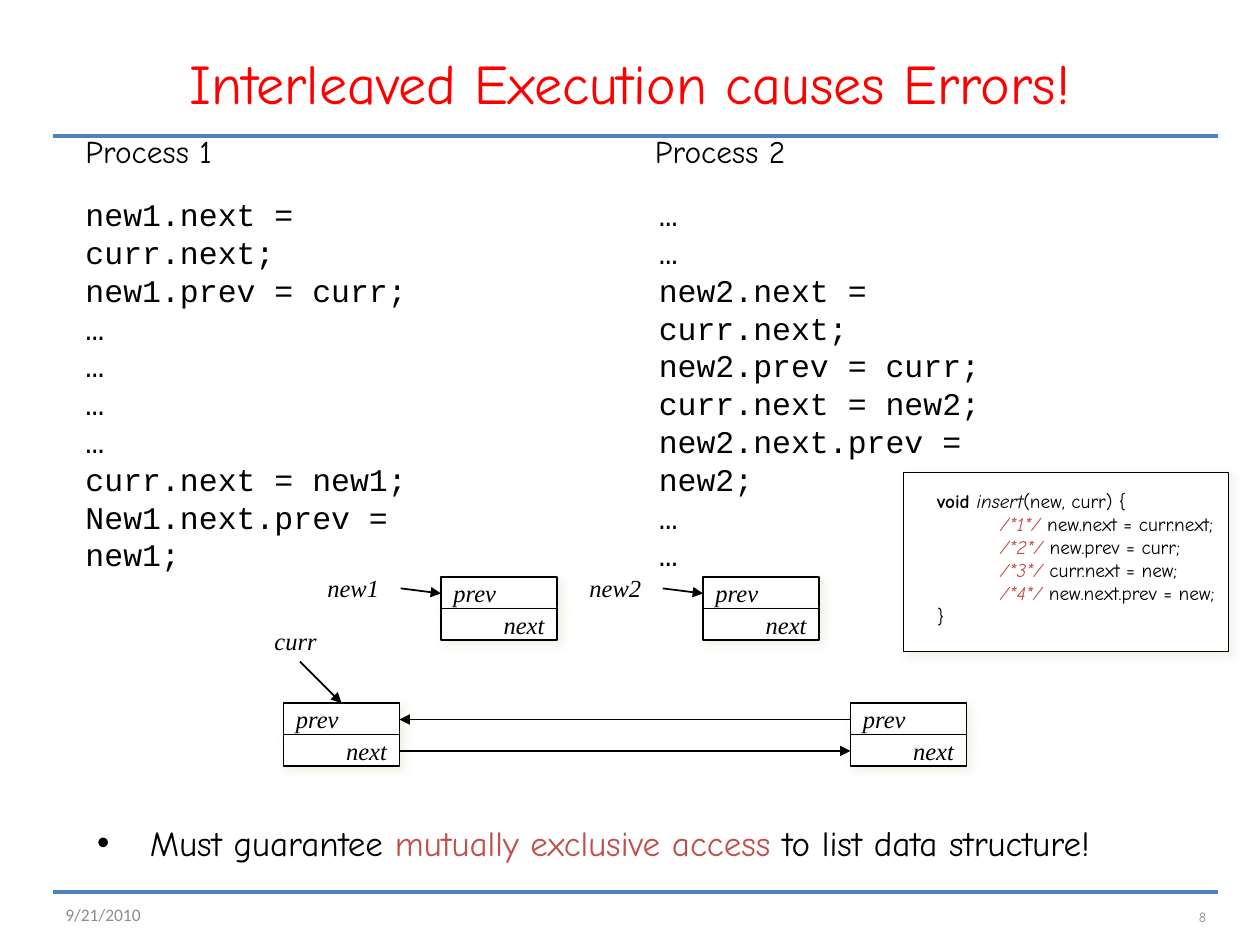
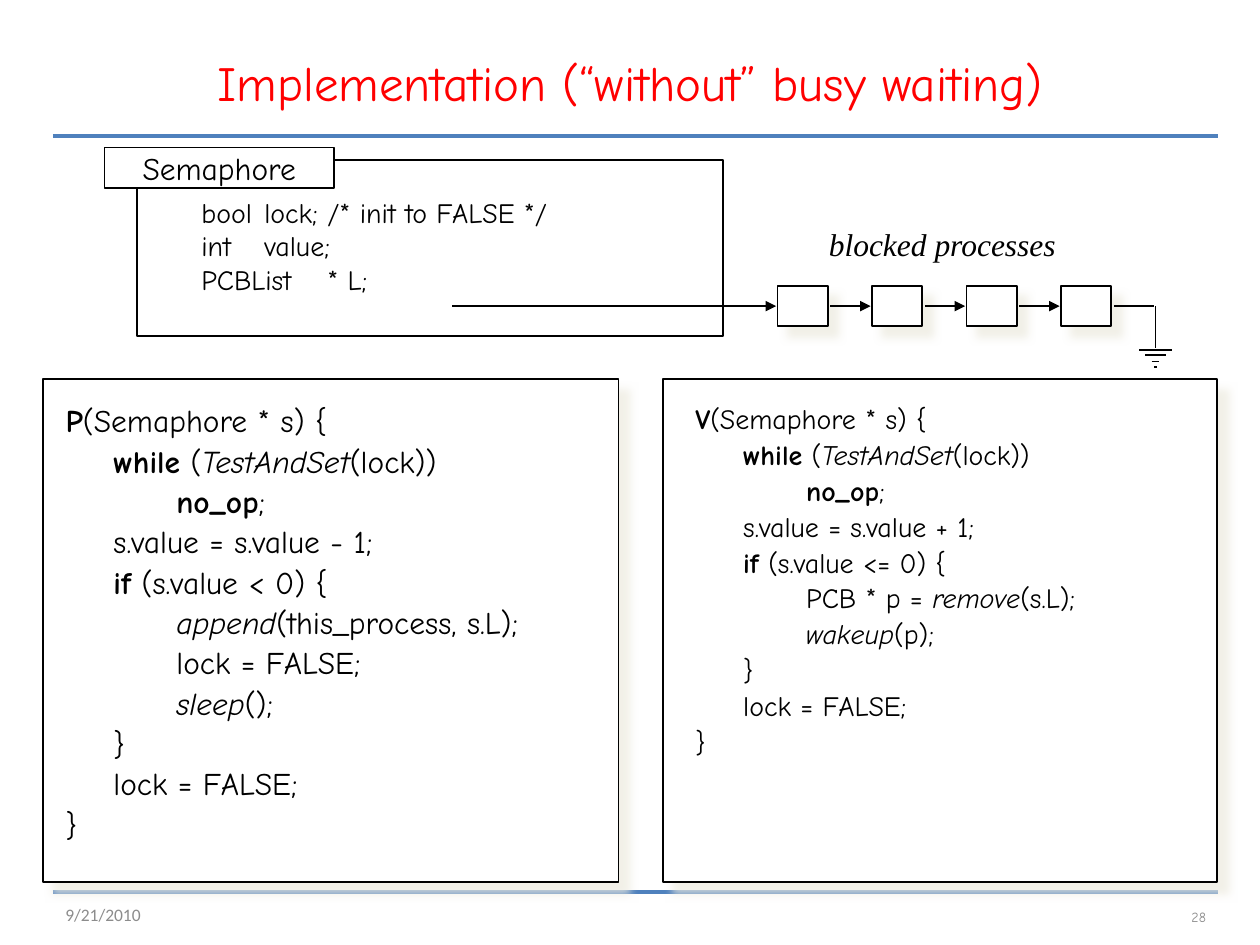
from dataclasses import dataclass
from typing import NamedTuple, Optional, Sequence, Union

from pptx import Presentation
from pptx.dml.color import RGBColor
from pptx.enum.shapes import MSO_CONNECTOR, MSO_SHAPE
from pptx.enum.text import MSO_ANCHOR, MSO_AUTO_SIZE, PP_ALIGN
from pptx.oxml.ns import qn
from pptx.util import Inches, Pt
from lxml.etree import SubElement


# ---- Theme and building parts ----
@dataclass(frozen=True)
class Theme:
    ink: str = "000000"
    paper: str = "FFFFFF"
    title: str = "FF0000"
    rule: str = "4F81BD"
    accent: str = "C0504D"
    muted: str = "8C8C8C"
    shadow: str = "EEECE1"
    hand: str = "Comic Neue"
    mono: str = "Courier New"
    serif: str = "Times New Roman"
    sans: str = "Calibri"
    large: int = 20
    normal: int = 18
    medium: int = 16
    label: int = 14
    small: int = 11
    date: int = 10
    number: int = 8


THEME = Theme()


class Span(NamedTuple):
    text: str
    bold: bool = False
    italic: bool = False
    color: Optional[str] = None


Line = Sequence[Union[str, Span]]


class Area(NamedTuple):
    left: float
    top: float
    width: float
    height: float


@dataclass(frozen=True)
class Style:
    font: str = THEME.hand
    size: int = THEME.normal
    color: str = THEME.ink
    italic: bool = False
    align: PP_ALIGN = PP_ALIGN.LEFT
    anchor: MSO_ANCHOR = MSO_ANCHOR.TOP
    line_spacing: float = 1.0
    space_before: float = 0
    margin: float = 0
    hanging: float = 0
    bullet: Optional[str] = None


@dataclass(frozen=True)
class Node:
    """A list element with a prev cell above a next cell."""
    left: float
    top: float
    width: float = 0.92
    cell: float = 0.25


def bold(text: str) -> Span:
    return Span(text, bold=True)


def italic(text: str) -> Span:
    return Span(text, italic=True)


def accent(text: str, slanted: bool = False) -> Span:
    return Span(text, italic=slanted, color=THEME.accent)


def code_style(size: int) -> Style:
    return Style(size=size, line_spacing=0.9, space_before=size * 0.2,
                 margin=0.38, hanging=0.38)


HEADING = Style(size=32, color=THEME.title, align=PP_ALIGN.CENTER,
                anchor=MSO_ANCHOR.MIDDLE)
SUBHEADING = Style(size=28, color=THEME.title, align=PP_ALIGN.CENTER,
                   anchor=MSO_ANCHOR.MIDDLE)
LISTING = Style(font=THEME.mono)
LABEL = Style(font=THEME.serif, size=THEME.label, italic=True)
PREV = Style(font=THEME.serif, size=THEME.label, italic=True,
             anchor=MSO_ANCHOR.MIDDLE)
NEXT = Style(font=THEME.serif, size=THEME.label, italic=True,
             align=PP_ALIGN.RIGHT, anchor=MSO_ANCHOR.MIDDLE)


# ---- Drawing functions ----
def place(shape, area: Area) -> None:
    shape.left, shape.top, shape.width, shape.height = map(Inches, area)


def format_para(para, style: Style, stops: Sequence[float] = ()) -> None:
    para.alignment = style.align
    para.line_spacing = style.line_spacing
    para.space_before = Pt(style.space_before)
    props = para._p.get_or_add_pPr()
    props.set("marL", str(Inches(style.margin)))
    props.set("indent", str(-Inches(style.hanging)))
    if style.bullet:
        SubElement(props, qn("a:buChar")).set("char", style.bullet)
    else:
        SubElement(props, qn("a:buNone"))
    if stops:
        tabs = SubElement(props, qn("a:tabLst"))
        for stop in stops:
            tab = SubElement(tabs, qn("a:tab"))
            tab.set("pos", str(Inches(stop)))
            tab.set("algn", "l")
    para.font.name = style.font
    para.font.size = Pt(style.size)


def write(shape, lines: Sequence[Line], style: Style,
          stops: Sequence[Sequence[float]] = ()) -> None:
    frame = shape.text_frame
    frame.word_wrap = True
    frame.auto_size = MSO_AUTO_SIZE.NONE
    frame.vertical_anchor = style.anchor
    for index, line in enumerate(lines):
        para = frame.paragraphs[0] if index == 0 else frame.add_paragraph()
        format_para(para, style, stops[index] if stops else ())
        for part in line:
            span = Span(part) if isinstance(part, str) else part
            run = para.add_run()
            run.text = span.text
            run.font.bold = span.bold
            run.font.italic = span.italic or style.italic
            run.font.color.rgb = RGBColor.from_string(span.color or style.color)


def add_text(page, area: Area, lines: Sequence[Line], style: Style,
             stops: Sequence[Sequence[float]] = ()) -> None:
    box = page.shapes.add_textbox(*map(Inches, area))
    write(box, lines, style, stops)


def add_box(page, area: Area, shadow: float = 0):
    """Outlined white box; shadow is its distance in points."""
    box = page.shapes.add_shape(MSO_SHAPE.RECTANGLE, *map(Inches, area))
    box.fill.solid()
    box.fill.fore_color.rgb = RGBColor.from_string(THEME.paper)
    box.line.color.rgb = RGBColor.from_string(THEME.ink)
    box.line.width = Pt(1)
    box.shadow.inherit = False
    if shadow:
        effects = box.element.spPr.find(qn("a:effectLst"))
        outer = SubElement(effects, qn("a:outerShdw"), blurRad=str(Pt(5)),
                           dist=str(Pt(shadow)), dir=str(45 * 60000))
        color = SubElement(outer, qn("a:srgbClr"), val=THEME.shadow)
        SubElement(color, qn("a:alpha"), val="75000")
    return box


def add_line(page, x1: float, y1: float, x2: float, y2: float,
             arrow: bool = False, color: str = THEME.ink, width: float = 1) -> None:
    line = page.shapes.add_connector(MSO_CONNECTOR.STRAIGHT,
                                     *map(Inches, (x1, y1, x2, y2)))
    line.line.color.rgb = RGBColor.from_string(color)
    line.line.width = Pt(width)
    props = line.element.spPr
    if arrow:
        SubElement(props.find(qn("a:ln")), qn("a:tailEnd"), type="triangle")
    SubElement(props, qn("a:effectLst"))


def add_node(page, node: Node) -> None:
    for row, (name, style) in enumerate((("prev", PREV), ("next", NEXT))):
        area = Area(node.left, node.top + row * node.cell, node.width, node.cell)
        write(add_box(page, area, shadow=3), [[name]], style)


def bring_to_front(shape) -> None:
    shape.element.getparent().append(shape.element)


def add_page(deck, title: str, style: Style, number: str):
    """Slide with title, two rules, date and number."""
    page = deck.slides.add_slide(deck.slide_layouts[1])
    place(page.shapes.title, Area(0.5, 0.3, 9, 0.7))
    write(page.shapes.title, [[title]], style)
    for y in (1.08, 7.08):
        add_line(page, 0.42, y, 9.67, y, color=THEME.rule, width=2)
    add_text(page, Area(0.42, 7.1, 1.5, 0.32), [["9/21/2010"]],
             Style(font=THEME.sans, size=THEME.date, color=THEME.muted,
                   anchor=MSO_ANCHOR.MIDDLE))
    add_text(page, Area(8.75, 7.08, 0.92, 0.4), [[number]],
             Style(size=THEME.number, color=THEME.muted, align=PP_ALIGN.RIGHT,
                   anchor=MSO_ANCHOR.MIDDLE))
    return page


# ---- Slide: interleaved execution ----
def build_interleaving(deck) -> None:
    page = add_page(deck, "Interleaved Execution causes Errors!", HEADING, "8")

    # Code of both processes
    pause = "…"
    first = ["new1.next = curr.next;", "new1.prev = curr;", *[pause] * 4,
             "curr.next = new1;", "New1.next.prev = new1;"]
    second = [pause, pause, "new2.next = curr.next;", "new2.prev = curr;",
              "curr.next = new2;", "new2.next.prev = new2;", pause, pause]
    for name, left, code_left, code in (("Process 1", 0.58, 0.58, first),
                                        ("Process 2", 5.1, 5.13, second)):
        add_text(page, Area(left, 1, 1.4, 0.4), [[name]], Style())
        add_text(page, Area(code_left, 1.5, 3.45, 3.1),
                 [[line] for line in code], LISTING)

    # New nodes with their pointers
    for name, left in (("new1", 3.5), ("new2", 5.58)):
        add_node(page, Node(left, 4.58))
        add_text(page, Area(left - 1, 4.5, 0.7, 0.33), [[name]], LABEL)
        add_line(page, left - 0.32, 4.67, left, 4.71, arrow=True)

    # Existing list
    head, tail = Node(2.25, 5.58), Node(6.75, 5.58)
    for node in (head, tail):
        add_node(page, node)
    right = head.left + head.width
    add_line(page, right, 5.96, tail.left, 5.96, arrow=True)
    add_line(page, tail.left, 5.71, right, 5.71, arrow=True)
    add_text(page, Area(2.08, 4.92, 0.7, 0.33), [["curr"]], LABEL)
    add_line(page, 2.38, 5.25, 2.71, 5.58, arrow=True)

    # Conclusion
    body = page.placeholders[1]
    place(body, Area(0.67, 6.47, 8.9, 0.43))
    write(body, [["Must guarantee ", accent("mutually exclusive access"),
                  " to list data structure!"]],
          Style(size=THEME.large, margin=0.42, hanging=0.42, bullet="•"))

    # Insert function: the steps are indented below its first line
    add_box(page, Area(7.17, 3.75, 2.58, 1.42), shadow=3)
    steps = ["new.next = curr.next;", "new.prev = curr;", "curr.next = new;",
             "new.next.prev = new;"]
    add_text(page, Area(7.34, 3.83, 2.4, 1.21),
             [[bold("void "), italic("insert"), "(new, curr) {"],
              *[["\t", accent(f"/*{count}*/ ", slanted=True), step]
                for count, step in enumerate(steps, 1)],
              ["}"]],
             Style(size=THEME.small), stops=[[0.1]] * 6)


# ---- Slide: semaphore implementation ----
def build_semaphore(deck) -> None:
    page = add_page(deck, "Implementation (“without” busy waiting)", SUBHEADING, "28")

    # Semaphore fields
    add_box(page, Area(1.09, 1.27, 4.65, 1.4))
    write(add_box(page, Area(0.83, 1.17, 1.82, 0.32)), [["Semaphore"]],
          Style(align=PP_ALIGN.CENTER, anchor=MSO_ANCHOR.MIDDLE))
    add_text(page, Area(1.5, 1.5, 4.1, 0.91),
             [["bool\tlock;\t/* init to FALSE */"], ["int\tvalue;"], ["PCBList\t* L;"]],
             Style(size=THEME.medium), stops=[[0.99, 1.71], [0.97], [0.87]])

    # Queue of blocked processes, ending in a ground symbol
    add_text(page, Area(6.48, 1.74, 2.2, 0.4), [["blocked processes"]],
             Style(font=THEME.serif, italic=True))
    pitch, count, axis = 0.75, 4, 2.43
    add_line(page, 3.59, axis, 6.16, axis, arrow=True)
    for index in range(count):
        left = 6.17 + index * pitch
        add_box(page, Area(left, 2.27, 0.4, 0.32), shadow=8.5)
        add_line(page, left + 0.42, axis, left + 0.74, axis, arrow=index < count - 1)
    ground = 9.17
    add_line(page, ground, axis, ground, 2.76)
    for half, y in ((0.13, 2.78), (0.08, 2.82), (0.03, 2.87), (0.01, 2.91)):
        add_line(page, ground - half, y, ground + half, y)

    # Operations P and V
    spin = [["\t", bold("while"), " (", italic("TestAndSet"), "(lock))"],
            ["\t\t", bold("no_op"), ";"]]
    close = [["\t}"], ["\tlock = FALSE;"], ["}"]]
    add_box(page, Area(0.34, 3.01, 4.57, 3.99), shadow=8.5)
    add_box(page, Area(5.26, 3.01, 4.4, 3.99), shadow=8.5)
    body = page.placeholders[1]
    place(body, Area(0.42, 3.17, 4.67, 4.08))
    bring_to_front(body)
    write(body, [[bold("P"), "(Semaphore * s) {"], *spin,
                 ["\ts.value = s.value - 1;"],
                 ["\t", bold("if"), " (s.value < 0) {"],
                 ["\t\t", italic("append"), "(this_process, s.L);"],
                 ["\t\tlock = FALSE;"],
                 ["\t\t", italic("sleep"), "();"], *close],
          code_style(THEME.normal))
    add_text(page, Area(5.42, 3.17, 4.25, 4.08),
             [[bold("V"), "(Semaphore * s) {"], *spin,
              ["\ts.value = s.value + 1;"],
              ["\t", bold("if"), " (s.value <= 0) {"],
              ["\t\tPCB * p = ", italic("remove"), "(s.L);"],
              ["\t\t", italic("wakeup"), "(p);"], *close],
             code_style(THEME.medium))


deck = Presentation()
deck.slide_width, deck.slide_height = Inches(10), Inches(7.5)
build_interleaving(deck)
build_semaphore(deck)
deck.save("out.pptx")
